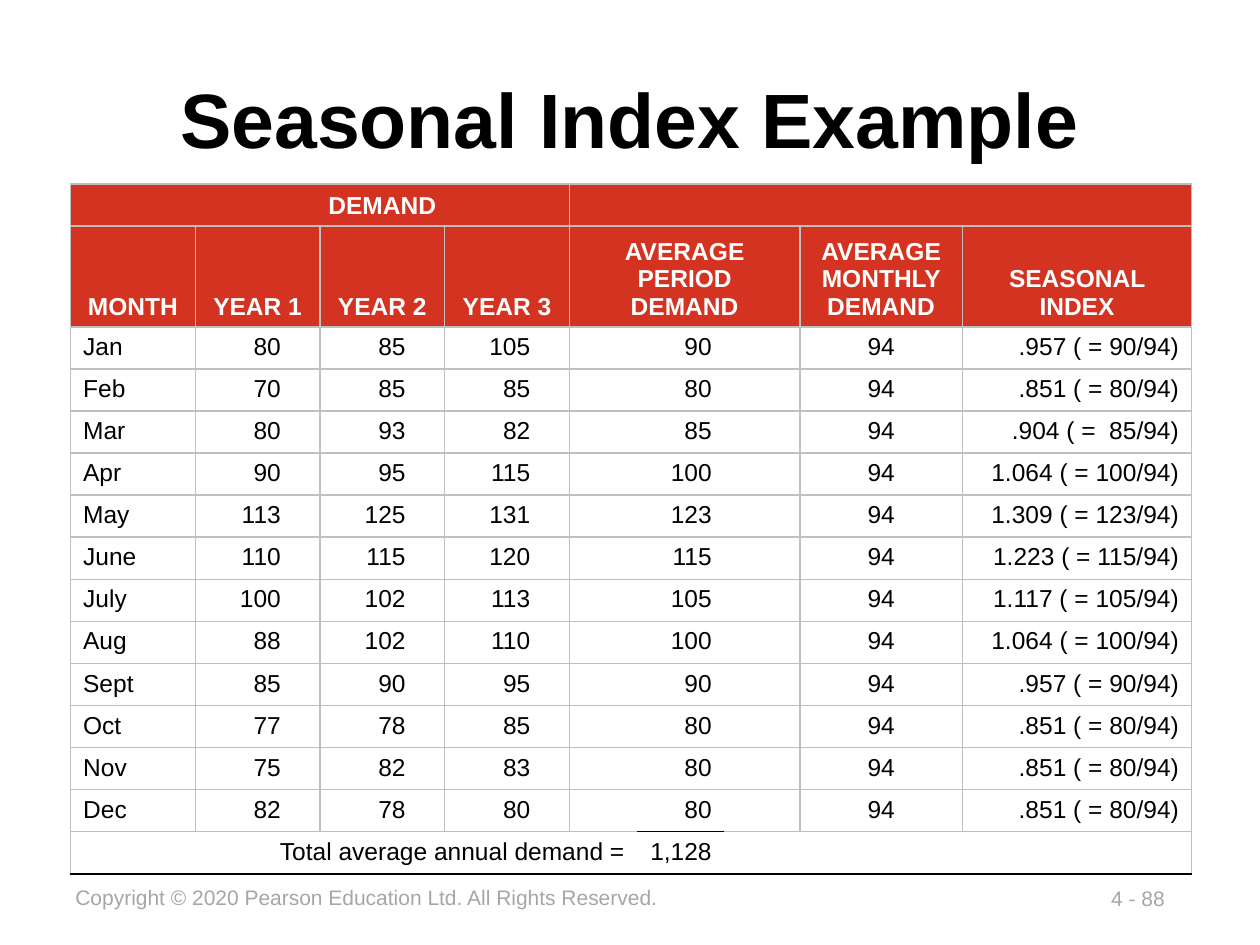
from dataclasses import dataclass
from typing import Optional

from lxml.etree import SubElement
from pptx import Presentation
from pptx.dml.color import RGBColor
from pptx.enum.text import MSO_ANCHOR as Anchor, PP_ALIGN as Align
from pptx.oxml.ns import qn
from pptx.util import Emu, Inches, Pt


@dataclass(frozen=True)
class Theme:
    font: str = "Arial"
    ink: str = "000000"
    paper: str = "FFFFFF"
    header: str = "D33320"
    grid: str = "BFBFBF"
    footer: str = "A6A6A6"
    title_size: int = 44
    table_size: int = 14
    footer_size: int = 12
    rule_width: int = 1


@dataclass(frozen=True)
class Month:
    name: str
    demand: tuple[int, int, int]
    index_gap: str = " "

    @property
    def average(self) -> int:
        return sum(self.demand) // len(self.demand)


@dataclass(frozen=True)
class Entry:
    text: str
    column: int
    align: Optional[Align] = None
    span: int = 1
    tab: Optional[float] = None


@dataclass(frozen=True)
class Row:
    """Entries of one row; dividers are the column edges with a vertical line."""
    entries: list[Entry]
    dividers: set[int]
    header: bool = False


THEME = Theme()
WIDTH, HEIGHT = Inches(10), Inches(7.5)
COLUMNS = [0.99] * 4 + [0.54, 0.69, 0.6, 1.29, 1.82]
HEADING_ROW, ROW = 0.8, 1 / 3
AVERAGE_COLUMN, MONTHLY_COLUMN, INDEX_COLUMN = 5, 7, 8
DEMAND_TAB = 0.58
MONTHS = [
    Month("Jan", (80, 85, 105)),
    Month("Feb", (70, 85, 85)),
    Month("Mar", (80, 93, 82), index_gap="  "),
    Month("Apr", (90, 95, 115)),
    Month("May", (113, 125, 131)),
    Month("June", (110, 115, 120)),
    Month("July", (100, 102, 113)),
    Month("Aug", (88, 102, 110)),
    Month("Sept", (85, 90, 95)),
    Month("Oct", (77, 78, 85)),
    Month("Nov", (75, 82, 83)),
    Month("Dec", (82, 78, 80)),
]


def place(shape, left: float, top: float, width: float, height: float) -> None:
    """Position a shape by shares of the slide's size."""
    shape.left, shape.width = Emu(int(left * WIDTH)), Emu(int(width * WIDTH))
    shape.top, shape.height = Emu(int(top * HEIGHT)), Emu(int(height * HEIGHT))


def style(paragraph, size: int, color: str, bold: bool = False,
          align: Optional[Align] = None) -> None:
    paragraph.alignment = align
    font = paragraph.font
    font.name, font.size, font.bold = THEME.font, Pt(size), bold
    font.color.rgb = RGBColor.from_string(color)


def add_title(slide, text: str) -> None:
    title = slide.shapes.title
    place(title, 0.075, 0.059, 0.85, 0.132)
    title.text_frame.text = text
    title.text_frame.vertical_anchor = Anchor.MIDDLE
    style(title.text_frame.paragraphs[0], THEME.title_size, THEME.ink, True, Align.CENTER)


def add_footer(slide, text: str, left: float, top: float, width: float) -> None:
    footer = slide.shapes.add_textbox(0, 0, 0, 0)
    place(footer, left, top, width, 0.04)
    footer.text_frame.word_wrap = False
    footer.text_frame.text = text
    style(footer.text_frame.paragraphs[0], THEME.footer_size, THEME.footer)


def add_right_tab(paragraph, position: float) -> None:
    tabs = SubElement(paragraph._p.get_or_add_pPr(), qn("a:tabLst"))
    SubElement(tabs, qn("a:tab"), pos=str(Inches(position)), algn="r")


def add_border(cell, side: str, color: Optional[str]) -> None:
    line = SubElement(cell._tc.get_or_add_tcPr(), qn(f"a:ln{side}"),
                      w=str(Pt(THEME.rule_width)))
    if color is None:
        SubElement(line, qn("a:noFill"))
    else:
        SubElement(SubElement(line, qn("a:solidFill")), qn("a:srgbClr"), val=color)


def month_row(month: Month, monthly: int) -> Row:
    index = f"{month.average / monthly:.3f}".lstrip("0")
    entries = [Entry(month.name, 0)]
    entries += [Entry(f"\t{units}", year, tab=DEMAND_TAB)
                for year, units in enumerate(month.demand, 1)]
    entries += [
        Entry(str(month.average), AVERAGE_COLUMN, Align.RIGHT),
        Entry(str(monthly), MONTHLY_COLUMN, Align.CENTER),
        Entry(f"{index} ( ={month.index_gap}{month.average}/{monthly})",
              INDEX_COLUMN, Align.RIGHT),
    ]
    return Row(entries, {0, 1, 2, 3, 4, 7, 8, 9})


def table_rows() -> list[Row]:
    total = sum(month.average for month in MONTHS)
    headings = ["MONTH", "YEAR 1", "YEAR 2", "YEAR 3"]
    labels = [Entry(text, column, Align.CENTER) for column, text in enumerate(headings)]
    labels += [
        Entry("AVERAGE PERIOD DEMAND", 4, Align.CENTER, span=3),
        Entry("AVERAGE MONTHLY DEMAND", MONTHLY_COLUMN, Align.CENTER),
        Entry("SEASONAL INDEX", INDEX_COLUMN, Align.CENTER),
    ]
    return [
        Row([Entry("DEMAND", 1, Align.CENTER, span=3)], {0, 4, 9}, header=True),
        Row(labels, {0, 1, 2, 3, 4, 7, 8, 9}, header=True),
        *(month_row(month, total // len(MONTHS)) for month in MONTHS),
        Row([Entry("Total average annual demand =", 0, Align.RIGHT, span=5),
             Entry(f"{total:,}", AVERAGE_COLUMN, Align.RIGHT)], {0, 9}),
    ]


def edge_color(edge: int, column: int, last: int) -> str:
    """The sum line and the table's bottom line are dark."""
    dark = edge == last or (edge == last - 1 and column == AVERAGE_COLUMN)
    return THEME.ink if dark else THEME.grid


def draw_row(table, number: int, row: Row, last: int) -> None:
    entries = {entry.column: entry for entry in row.entries}
    for column in range(len(COLUMNS)):
        cell = table.cell(number, column)
        entry = entries.get(column, Entry("", column))
        if entry.span > 1:
            cell.merge(table.cell(number, column + entry.span - 1))
        paragraph = cell.text_frame.paragraphs[0]
        if entry.tab is not None:
            add_right_tab(paragraph, entry.tab)
        if entry.text:
            paragraph.add_run().text = entry.text
        else:
            end = SubElement(paragraph._p, qn("a:endParaRPr"))
            end.set("sz", str(THEME.table_size * 100))
        style(paragraph, THEME.table_size, THEME.paper if row.header else THEME.ink,
              row.header, entry.align)
        cell.vertical_anchor = Anchor.BOTTOM if row.header else Anchor.TOP
        for side, edge in (("L", column), ("R", column + entry.span)):
            add_border(cell, side, THEME.grid if edge in row.dividers else None)
        for side, edge in (("T", number), ("B", number + 1)):
            add_border(cell, side, edge_color(edge, column, last))
        if row.header:
            cell.fill.solid()
            cell.fill.fore_color.rgb = RGBColor.from_string(THEME.header)
        else:
            cell.fill.background()


def add_index_table(slide) -> None:
    rows = table_rows()
    frame = slide.shapes.add_table(len(rows), len(COLUMNS), Inches(0.56), Inches(1.46),
                                   Inches(sum(COLUMNS)), Inches(5.47))
    table = frame.table
    table.first_row = table.horz_banding = False
    for column, width in zip(table.columns, COLUMNS):
        column.width = Inches(width)
    for number, row in enumerate(rows):
        table.rows[number].height = Inches(HEADING_ROW if number == 1 else ROW)
        draw_row(table, number, row, len(rows))


def main() -> None:
    deck = Presentation()
    deck.slide_width, deck.slide_height = WIDTH, HEIGHT
    slide = deck.slides.add_slide(deck.slide_layouts[5])
    add_footer(slide, "4 - 88", 0.872, 0.931, 0.065)
    add_footer(slide, "Copyright © 2020 Pearson Education Ltd. All Rights Reserved.",
               0.5 / 10, 0.929, 0.486)
    add_title(slide, "Seasonal Index Example")
    add_index_table(slide)
    deck.save("out.pptx")


if __name__ == "__main__":
    main()
